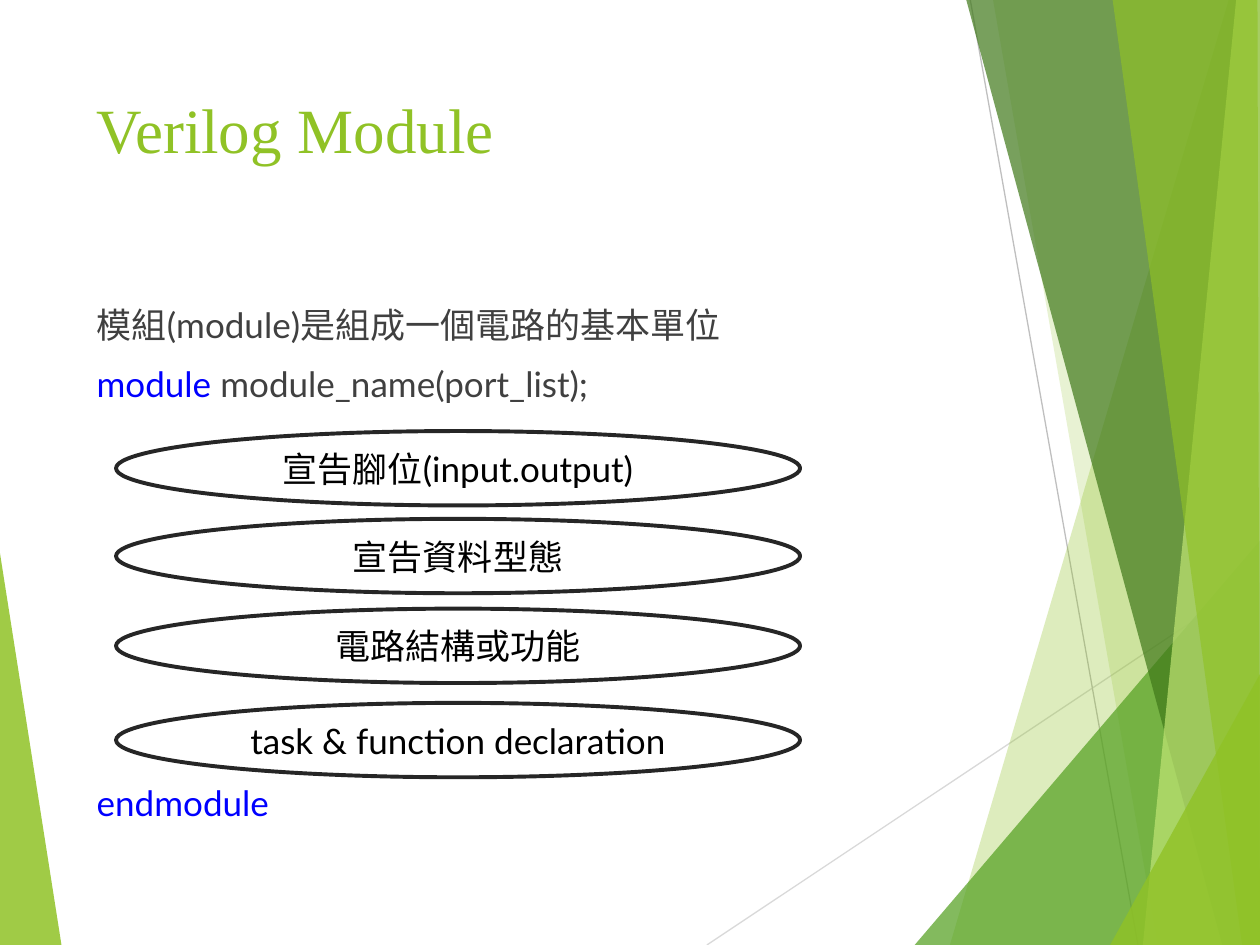
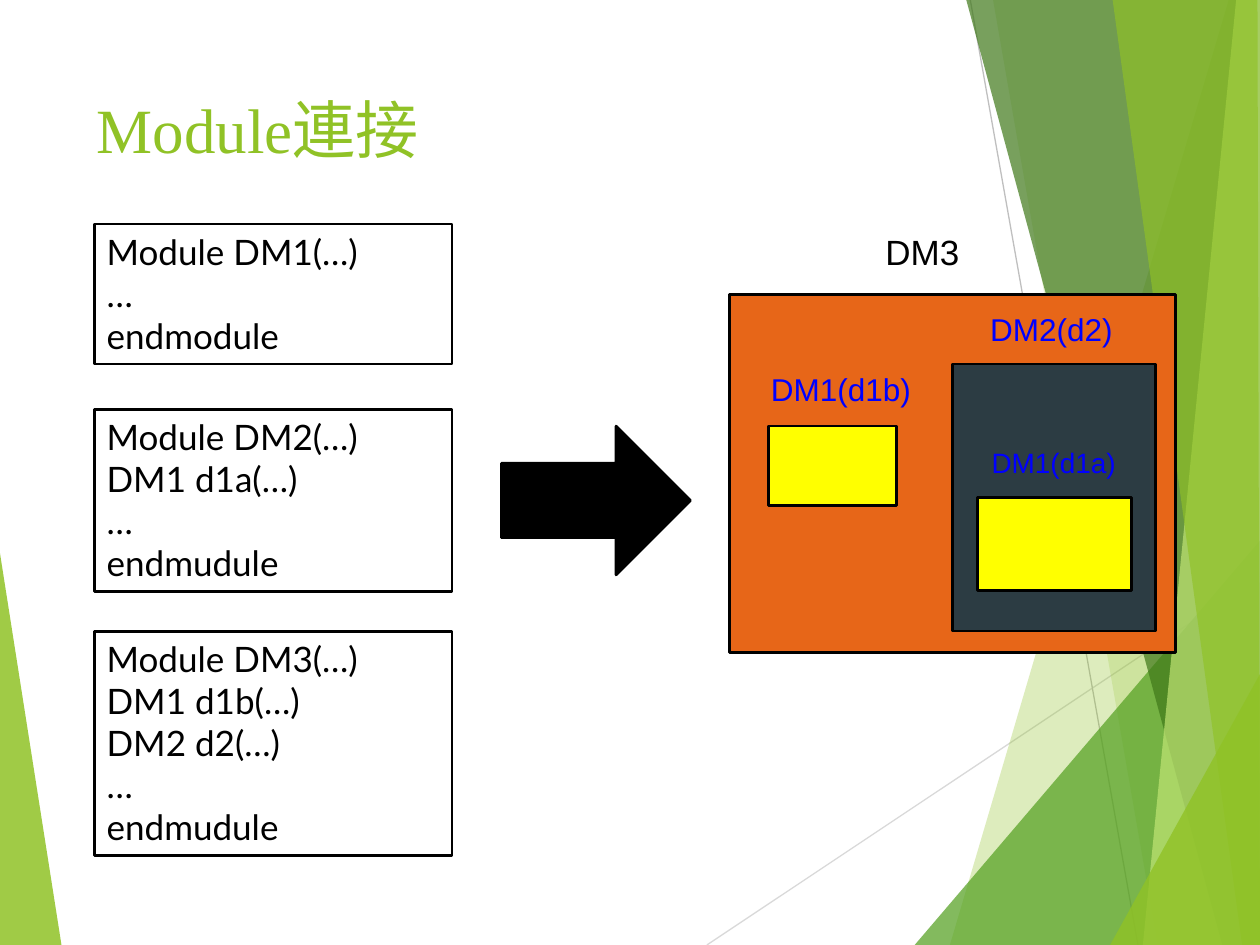
from lxml.etree import SubElement
from pptx import Presentation
from pptx.dml.color import RGBColor
from pptx.enum.shapes import MSO_CONNECTOR as Connector, MSO_SHAPE as Shape
from pptx.enum.text import MSO_ANCHOR as Anchor, PP_ALIGN as Align
from pptx.oxml.ns import qn
from pptx.util import Cm, Pt

WIDTH, HEIGHT = 25.4, 19.05
BLANK_LAYOUT = 6
COLORS = {
    "white": "FFFFFF", "black": "000000", "outline": "262626", "body": "404040",
    "keyword": "0000FF", "lime": "90C226", "green": "54A021", "forest": "3F7819",
    "pale": "C0E474", "orange": "E76618", "slate": "2C3C43", "yellow": "FFFF00",
    "light line": "D9D9D9", "grey line": "BFBFBF",
}
CORNER = (WIDTH, HEIGHT)
TOP_CORNER = (WIDTH, 0)
# Colour, opacity in percent, outline points
LEFT_FACET = ("lime", 85, [(0, 11.15), (1.24, HEIGHT), (0, HEIGHT)])
RIGHT_FACETS = [
    ("lime", 30, [(24.77, 0), (19.15, HEIGHT), CORNER, TOP_CORNER]),
    ("lime", 20, [(20.02, 0), (23.34, HEIGHT), CORNER, TOP_CORNER]),
    ("green", 72, [(18.44, HEIGHT), (WIDTH, 10.9), CORNER]),
    ("forest", 70, [(19.48, 0), (24.64, HEIGHT), CORNER, TOP_CORNER]),
    ("pale", 70, [(24.92, 0), (23.04, HEIGHT), CORNER, TOP_CORNER]),
    ("lime", 65, [(22.43, 0), (25.04, HEIGHT), CORNER, (25.35, 0)]),
    ("lime", 80, [(22.38, HEIGHT), (WIDTH, 13.59), CORNER]),
]


def rgb(name):
    return RGBColor.from_string(COLORS[name])


def write(paragraph, text, size=20, font="Lato", color="black", align=Align.LEFT):
    paragraph.alignment = align
    run = paragraph.add_run()
    run.text = text
    run.font.size = Pt(size)
    run.font.name = font
    run.font.color.rgb = rgb(color)


class Deck:
    def __init__(self):
        self.presentation = Presentation()
        self.presentation.slide_width = Cm(WIDTH)
        self.presentation.slide_height = Cm(HEIGHT)
        self.slide = None

    def new_slide(self, title):
        layout = self.presentation.slide_layouts[BLANK_LAYOUT]
        self.slide = self.presentation.slides.add_slide(layout)
        self.facet(*LEFT_FACET)
        self.line((14.25, HEIGHT), (WIDTH, 11.62), "light line")
        self.line((19.56, 0), (22.94, HEIGHT), "grey line")
        for facet in RIGHT_FACETS:
            self.facet(*facet)
        self.label(title, 1.7, 1.7, 17.63, 3.66,
                   size=36, font="Times New Roman", color="lime")

    def facet(self, color, opacity, points):
        """Draw a borderless, translucent polygon."""
        start, *rest = [(Cm(x), Cm(y)) for x, y in points]
        builder = self.slide.shapes.build_freeform(*start)
        builder.add_line_segments(rest, close=True)
        shape = builder.convert_to_shape()
        shape.shadow.inherit = False
        shape.line.fill.background()
        shape.fill.solid()
        shape.fill.fore_color.rgb = rgb(color)
        fill_color = shape._element.spPr.find(f"{qn('a:solidFill')}/{qn('a:srgbClr')}")
        SubElement(fill_color, qn("a:alpha")).set("val", str(opacity * 1000))

    def line(self, start, end, color):
        connector = self.slide.shapes.add_connector(
            Connector.STRAIGHT, *[Cm(value) for value in start + end])
        connector.line.color.rgb = rgb(color)
        connector.line.width = Pt(0.75)
        SubElement(connector._element.spPr, qn("a:effectLst"))

    def text_frame(self, left, top, width, height):
        box = self.slide.shapes.add_textbox(Cm(left), Cm(top), Cm(width), Cm(height))
        box.text_frame.word_wrap = True
        return box.text_frame

    def label(self, text, left, top, width, height=1.02, **text_format):
        frame = self.text_frame(left, top, width, height)
        write(frame.paragraphs[0], text, **text_format)

    def shape(self, kind, left, top, width, height, fill, lines=(),
              outline="black", weight=1.5, anchor=Anchor.TOP, **text_format):
        shape = self.slide.shapes.add_shape(
            kind, Cm(left), Cm(top), Cm(width), Cm(height))
        shape.shadow.inherit = False
        shape.fill.solid()
        shape.fill.fore_color.rgb = rgb(fill)
        shape.line.color.rgb = rgb(outline)
        shape.line.width = Pt(weight)
        frame = shape.text_frame
        frame.vertical_anchor = anchor
        for index, text in enumerate(lines):
            paragraph = frame.add_paragraph() if index else frame.paragraphs[0]
            write(paragraph, text, **text_format)


def module_slide(deck):
    deck.new_slide("Verilog Module")
    frame = deck.text_frame(1.7, 5.99, 17.63, 12.42)
    write(frame.paragraphs[0], "模組(module)是組成一個電路的基本單位", color="body")
    header = frame.add_paragraph()
    header.space_before = Pt(10)
    write(header, "module", color="keyword")
    write(header, " module_name(port_list);", color="body")
    footer = frame.add_paragraph()
    footer.space_before = Pt(215)  # room for the ellipses
    write(footer, "endmodule", color="keyword")

    sections = [(8.69, "宣告腳位(input.output)"), (10.46, "宣告資料型態"),
                (12.27, "電路結構或功能"), (14.17, "task & function declaration")]
    for top, text in sections:
        deck.shape(Shape.OVAL, 2.34, top, 13.79, 1.5, "white", [text],
                   outline="outline", weight=2.25, anchor=Anchor.MIDDLE,
                   align=Align.CENTER)


def connection_slide(deck):
    deck.new_slide("Module連接")
    listings = [
        (4.52, ["Module DM1(…)", "…", "endmodule"]),
        (8.26, ["Module DM2(…)", "DM1 d1a(…)", "…", "endmudule"]),
        (12.73, ["Module DM3(…)", "DM1 d1b(…)", "DM2 d2(…)", "…", "endmudule"]),
    ]
    for top, lines in listings:
        height = 0.27 + 0.85 * len(lines)
        deck.shape(Shape.RECTANGLE, 1.9, top, 7.21, height, "white", lines)
    deck.shape(Shape.RIGHT_ARROW, 10.11, 8.59, 3.81, 3, "black")

    blocks = [
        ((14.71, 5.94, 8.99, 7.21), "orange"),
        ((15.49, 8.59, 2.59, 1.6), "yellow"),
        ((19.2, 7.34, 4.09, 5.38), "slate"),
        ((19.71, 10.03, 3.1, 1.88), "yellow"),
    ]
    for place, fill in blocks:
        deck.shape(Shape.RECTANGLE, *place, fill)
    labels = [
        ("DM3", (17.6, 4.52, 3.2), 20, "black"),
        ("DM1(d1b)", (15.29, 7.34, 3.4), 18, "keyword"),
        ("DM2(d2)", (19.71, 6.12, 3.1), 18, "keyword"),
        ("DM1(d1a)", (19.74, 8.86, 3.2), 16, "keyword"),
    ]
    for text, place, size, color in labels:
        deck.label(text, *place, size=size, font="Arial", color=color)


def main():
    deck = Deck()
    module_slide(deck)
    connection_slide(deck)
    deck.presentation.save("out.pptx")


if __name__ == "__main__":
    main()
